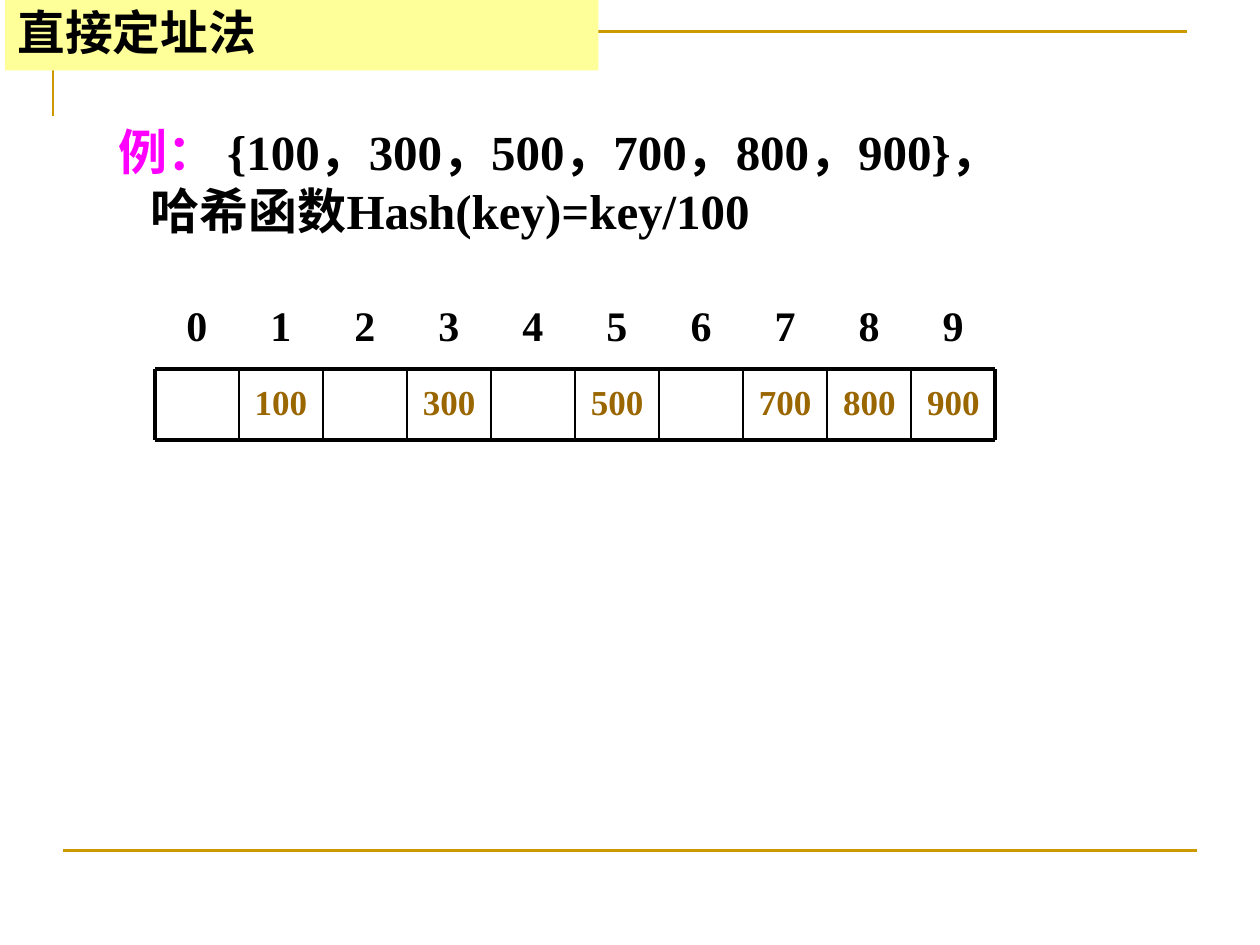
"""Build the slide on direct addressing for hash tables."""
import pptx
import pptx.util
import pptx.dml.color
import pptx.enum.shapes
import pptx.enum.text
import pptx.oxml.ns
import lxml.etree

Inches, Pt = pptx.util.Inches, pptx.util.Pt
align = pptx.enum.text.PP_ALIGN
hues = {"gold": "CC9900", "pink": "FF00FF", "ink": "000000",
        "brown": "996600", "pale": "FFFF99"}
hues = {name: pptx.dml.color.RGBColor.from_string(hue) for name, hue in hues.items()}
roman, hans = "Times New Roman", "Noto Sans CJK SC"


def style(font, size, face, hue):
    font.size, font.bold, font.name = Pt(size), True, face
    font.color.rgb = hues[hue]
    tag = pptx.oxml.ns.qn("a:ea")
    lxml.etree.SubElement(font._element, tag, typeface=hans)


def draw(x1, y1, x2, y2, hue, width):
    line = shapes.add_connector(pptx.enum.shapes.MSO_CONNECTOR.STRAIGHT,
                                Inches(x1), Inches(y1), Inches(x2), Inches(y2))
    line.line.color.rgb = hues[hue]
    line.line.width = Pt(width)
    lxml.etree.SubElement(line._element.spPr, pptx.oxml.ns.qn("a:effectLst"))


deck = pptx.Presentation()
deck.slide_width, deck.slide_height = Inches(10), Inches(7.5)
slide = deck.slides.add_slide(deck.slide_layouts[6])
shapes = slide.shapes

pen = shapes.build_freeform(Inches(0.42), Inches(0.92))
pen.add_line_segments([(Inches(0.42), Inches(0.25)),
                       (Inches(9.42), Inches(0.25))], close=False)
frame = pen.convert_to_shape()
frame.shadow.inherit = False
frame.fill.background()
frame.line.color.rgb = hues["gold"]
frame.line.width = Pt(1.5)
draw(0.5, 6.75, 9.5, 6.75, "gold", 1.5)

body = shapes.add_textbox(Inches(0.67), Inches(0.91), Inches(8.5), Inches(1.04))
body.text_frame.word_wrap = True
lines = [
    (0.17, [("例： ", hans, "pink"),
            ("{100，300，500，700，800，900}", roman, "ink"),
            ("，", hans, "ink")]),
    (0.43, [("哈希函数", hans, "ink"), ("Hash(key)=key/100", roman, "ink")]),
]
for i, (left, parts) in enumerate(lines):
    para = body.text_frame.add_paragraph() if i else body.text_frame.paragraphs[0]
    para.alignment = align.JUSTIFY
    para.line_spacing = Pt(34)
    para._p.get_or_add_pPr().set("marL", str(Inches(left)))
    for text, face, hue in parts:
        run = para.add_run()
        run.text = text
        style(run.font, 28, face, hue)

count, pitch = 10, 0.667
left, top, base = 1.23, 2.93, 3.49
right = left + count * pitch
head = shapes.add_textbox(Inches(1.38), Inches(2.33), Inches(6.68), Inches(0.5))
head.text_frame.word_wrap = True
para = head.text_frame.paragraphs[0]
para.text = "\t".join(str(n) for n in range(count))
tabs = lxml.etree.SubElement(para._p.get_or_add_pPr(), pptx.oxml.ns.qn("a:tabLst"))
for n in range(1, count):
    lxml.etree.SubElement(tabs, pptx.oxml.ns.qn("a:tab"),
                          pos=str(Inches(n * pitch)), algn="l")
style(para.font, 24, roman, "ink")

for key in (900, 800, 700, 500, 300, 100):
    cell = shapes.add_textbox(Inches(left + key // 100 * pitch), Inches(top),
                              Inches(pitch), Inches(base - top))
    cell.text_frame.word_wrap = True
    cell.text_frame.margin_top = Inches(0.09)
    para = cell.text_frame.paragraphs[0]
    para.text = str(key)
    para.alignment = align.CENTER
    style(para.font, 20, roman, "brown")

for y in (top, base):
    draw(left, y, right, y, "ink", 2.25)
for n in range(count + 1):
    x = left + n * pitch
    draw(x, top, x, base, "ink", 2.25 if n in (0, count) else 1)

title = shapes.add_shape(pptx.enum.shapes.MSO_SHAPE.RECTANGLE,
                         Inches(0.04), Inches(0), Inches(4.71), Inches(0.56))
title.shadow.inherit = False
title.fill.solid()
title.fill.fore_color.rgb = hues["pale"]
title.line.fill.background()
title.text_frame.vertical_anchor = pptx.enum.text.MSO_ANCHOR.MIDDLE
para = title.text_frame.paragraphs[0]
para.text = "直接定址法"
para.alignment = align.LEFT
para.line_spacing = 0.9
style(para.font, 27.2, hans, "ink")

deck.save("out.pptx")
